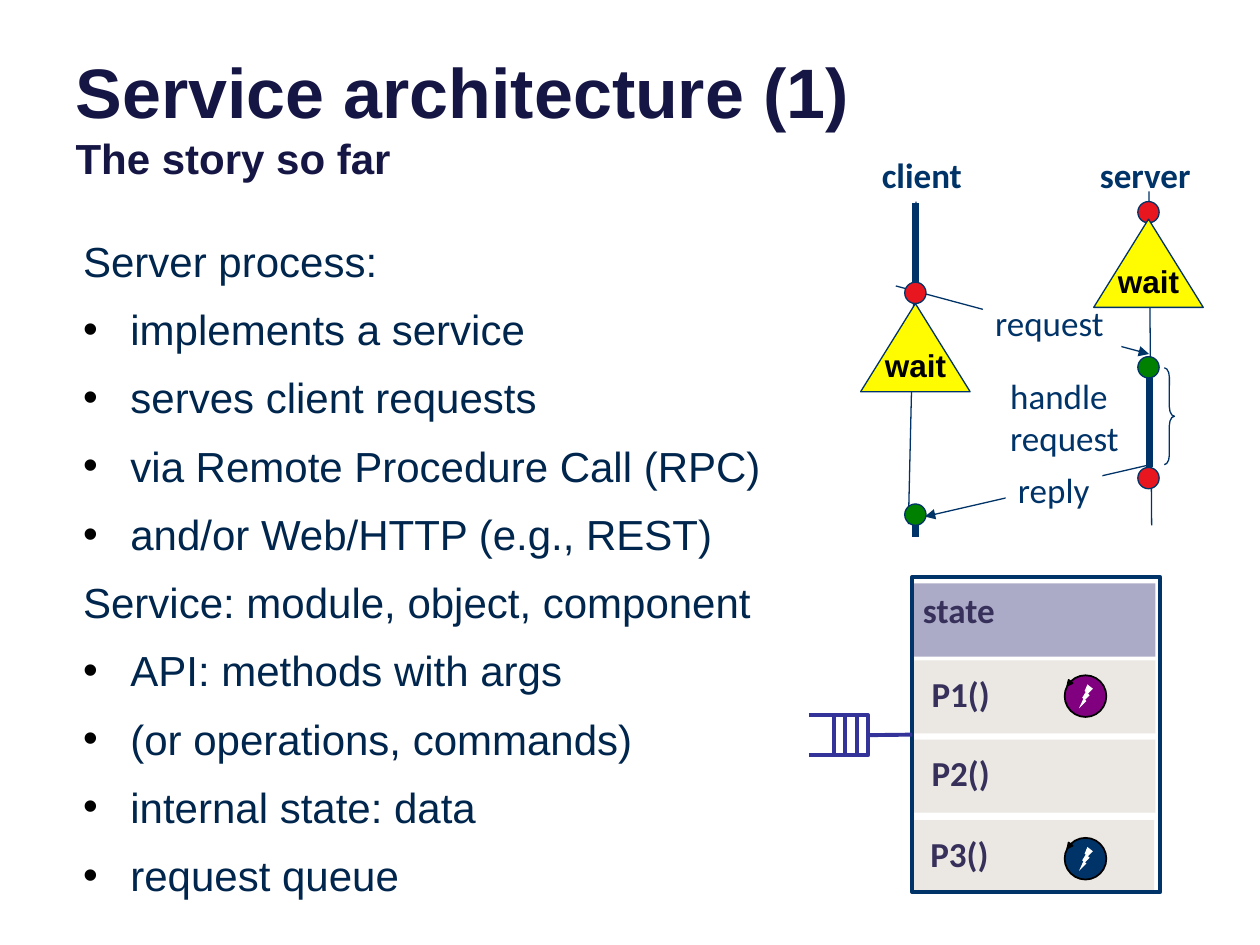
"""Build a slide on service architecture with an RPC timeline and a server diagram."""
from dataclasses import dataclass
from typing import Any, Optional

from lxml.etree import SubElement as Sub
from pptx import Presentation
from pptx.dml.color import RGBColor as Rgb
from pptx.enum.shapes import MSO_CONNECTOR as Link, MSO_SHAPE as Kind
from pptx.enum.text import MSO_ANCHOR as Anchor, MSO_AUTO_SIZE as Fit, PP_ALIGN as Align
from pptx.oxml.ns import qn
from pptx.util import Pt

NAVY = Rgb(0x00, 0x33, 0x67)
TITLE = Rgb(0x16, 0x16, 0x45)
BODY = Rgb(0x00, 0x26, 0x4D)
PLUM = Rgb(0x37, 0x30, 0x5A)
RED = Rgb(0xE8, 0x16, 0x1F)
GREEN = Rgb(0x00, 0x80, 0x00)
YELLOW = Rgb(0xFF, 0xFB, 0x01)
PURPLE = Rgb(0x80, 0x00, 0x80)
INDIGO = Rgb(0x33, 0x33, 0x99)
LILAC = Rgb(0x66, 0x66, 0x99)
SAND = Rgb(0xEB, 0xE7, 0xE3)
BLACK = Rgb(0, 0, 0)
WHITE = Rgb(0xFF, 0xFF, 0xFF)

HEAD = {"name": "Arial", "size": Pt(40), "bold": True}
SUBHEAD = {**HEAD, "size": Pt(24)}
LIST = {"name": "Arial", "size": Pt(24), "bold": False}
WAIT = {"name": "Arial", "size": Pt(18), "bold": True}
NOTE = {"name": "Calibri", "size": Pt(20), "bold": False}
NAME = {**NOTE, "bold": True}

FRAME = {"auto_size": Fit.NONE, "word_wrap": True, "margin_left": Pt(7.2),
         "margin_right": Pt(7.2), "margin_top": Pt(3.6), "margin_bottom": Pt(3.6)}


@dataclass
class Box:
    x: float
    y: float
    w: float
    h: float


@dataclass
class Wire:
    x1: float
    y1: float
    x2: float
    y2: float
    ink: Rgb = NAVY
    wt: float = 0.75
    arrow: bool = False


@dataclass
class Label:
    text: str
    box: Box
    form: dict
    ink: Rgb = NAVY
    fill: Optional[Rgb] = None
    mid: bool = False


@dataclass
class Dot:
    x: float
    y: float
    fill: Rgb


WIRES = [
    Wire(523.4, 115.2, 519.1, 299.5),
    Wire(656.6, 109.4, 658.1, 300.2),
    Wire(511.9, 163.4, 656.6, 202.3, arrow=True),
    Wire(656.6, 265.7, 528.5, 295.2, arrow=True),
    Wire(523, 115.9, 523, 163.4, wt=4),
    Wire(656.6, 216, 656.6, 267.1, wt=4),
    Wire(523, 300.2, 523, 306.7, wt=4),
]
LABELS = [
    Label("client", Box(496.8, 84.2, 122.4, 31.7), NAME),
    Label("server", Box(621.4, 84.2, 122.4, 31.7), NAME),
    Label("request", Box(561.6, 168.5, 79.2, 31.7), NOTE, fill=WHITE),
    Label("reply", Box(574.6, 264.2, 55.4, 31.7), NOTE, fill=WHITE),
    Label("handle request", Box(570.2, 210.2, 79.2, 55.4), NOTE),
]
DOTS = [Dot(517, 161.3, RED), Dot(517, 288, GREEN), Dot(650.2, 115.2, RED),
        Dot(650.2, 203.8, GREEN), Dot(650.2, 267.1, RED)]
WAITS = [(491.8, 173.5), (625, 125.3)]
PROCS = [("P1()", 521.3, 377.3), ("P2()", 521.3, 422.6), ("P3()", 520.6, 468.7)]
BADGES = [Dot(608.4, 385.9, PURPLE), Dot(608.4, 478.8, NAVY)]
ITEMS = [
    ("Server process:", False),
    ("implements a service", True),
    ("serves client requests", True),
    ("via Remote Procedure Call (RPC)", True),
    ("and/or Web/HTTP (e.g., REST)", True),
    ("Service: module, object, component", False),
    ("API: methods with args", True),
    ("(or operations, commands)", True),
    ("internal state: data", True),
    ("request queue", True),
]


def apply(obj: Any, vals: dict) -> None:
    for key, val in vals.items():
        setattr(obj, key, val)


def place(obj: Any, box: Box) -> None:
    apply(obj, {"left": Pt(box.x), "top": Pt(box.y), "width": Pt(box.w), "height": Pt(box.h)})


def write(par: Any, text: str, form: dict, ink: Rgb) -> None:
    run = par.add_run()
    run.text = text
    apply(run.font, form)
    run.font.color.rgb = ink


def shape(slide: Any, kind: Kind, box: Box, fill: Optional[Rgb] = None,
          ink: Optional[Rgb] = None, wt: float = 0.75) -> Any:
    item = slide.shapes.add_shape(kind, Pt(box.x), Pt(box.y), Pt(box.w), Pt(box.h))
    item.shadow.inherit = False
    if fill is None:
        item.fill.background()
    else:
        item.fill.solid()
        item.fill.fore_color.rgb = fill
    if ink is None:
        item.line.fill.background()
    else:
        item.line.color.rgb = ink
        item.line.width = Pt(wt)
    return item


def wire(slide: Any, spec: Wire) -> Any:
    item = slide.shapes.add_connector(
        Link.STRAIGHT, Pt(spec.x1), Pt(spec.y1), Pt(spec.x2), Pt(spec.y2))
    item.line.color.rgb = spec.ink
    item.line.width = Pt(spec.wt)
    props = item.element.spPr
    if spec.arrow:
        Sub(props.find(qn("a:ln")), qn("a:tailEnd"), type="triangle")
    Sub(props, qn("a:effectLst"))
    return item


def label(slide: Any, spec: Label) -> None:
    box = spec.box
    if spec.fill is None:
        item = slide.shapes.add_textbox(Pt(box.x), Pt(box.y), Pt(box.w), Pt(box.h))
    else:
        item = shape(slide, Kind.RECTANGLE, box, spec.fill)
    frame = item.text_frame
    apply(frame, {**FRAME, "word_wrap": not spec.mid,
                  "vertical_anchor": Anchor.MIDDLE if spec.mid else Anchor.TOP})
    par = frame.paragraphs[0]
    par.alignment = Align.CENTER if spec.mid else Align.LEFT
    write(par, spec.text, spec.form, spec.ink)


def texts(slide: Any) -> None:
    title, body = slide.placeholders
    place(title, Box(36, -14.4, 648, 122.4))
    apply(title.text_frame, {**FRAME, "vertical_anchor": Anchor.BOTTOM})
    par = title.text_frame.paragraphs[0]
    par.alignment = Align.LEFT
    write(par, "Service architecture (1)", HEAD, TITLE)
    par.add_line_break()
    write(par, "The story so far", SUBHEAD, TITLE)

    place(body, Box(40.3, 131, 409.7, 324))
    frame = body.text_frame
    apply(frame, {**FRAME, "vertical_anchor": Anchor.TOP})
    for num, (text, dot) in enumerate(ITEMS):
        par = frame.add_paragraph() if num else frame.paragraphs[0]
        props = par._p.get_or_add_pPr()
        props.set("marL", str(Pt(27 if dot else 0)))
        props.set("indent", str(Pt(-27 if dot else 0)))
        if dot:
            Sub(Sub(props, qn("a:buClr")), qn("a:srgbClr"), val=str(BLACK))
            Sub(props, qn("a:buFont"), typeface="Arial")
            Sub(props, qn("a:buChar"), char="•")
        else:
            Sub(props, qn("a:buNone"))
        par.space_before = Pt(10.2 if num else 0)
        write(par, text, LIST, BODY)


def timeline(slide: Any) -> None:
    for spec in WIRES:
        wire(slide, spec)
    for spec in LABELS:
        label(slide, spec)
    brace = shape(slide, Kind.RIGHT_BRACE, Box(665.3, 210.2, 5.8, 55.4), ink=NAVY)
    brace.adjustments[0] = 0.92
    for dot in DOTS:
        shape(slide, Kind.OVAL, Box(dot.x, dot.y, 12.2, 12.2), dot.fill, NAVY)
    for x, y in WAITS:
        cone = shape(slide, Kind.FLOWCHART_MERGE, Box(x, y, 62.6, 50.4), YELLOW, NAVY)
        cone.element.spPr.find(qn("a:xfrm")).set("flipV", "1")
        label(slide, Label("wait", Box(x + 6.5, y + 20.9, 49.7, 28.8), WAIT, BLACK, mid=True))


def badge(slide: Any, dot: Dot) -> None:
    x, y = dot.x, dot.y
    shape(slide, Kind.OVAL, Box(x, y, 23.8, 23.8), dot.fill, BLACK, 1)
    bolt = shape(slide, Kind.LIGHTNING_BOLT, Box(x + 8.2, y + 5.2, 7.9, 13.7), WHITE)
    bolt.element.spPr.find(qn("a:xfrm")).set("flipH", "1")
    tip = shape(slide, Kind.ISOSCELES_TRIANGLE, Box(x + 1, y + 3.2, 2.9, 2.9), BLACK, BLACK, 1)
    tip.rotation = 219


def server(slide: Any) -> None:
    band = shape(slide, Kind.RECTANGLE, Box(521.3, 333.4, 139, 41.8), LILAC)
    Sub(band.element.spPr.find(".//" + qn("a:srgbClr")), qn("a:alpha"), val="55000")
    label(slide, Label("state", Box(519.8, 332.6, 56.2, 31.7), NAME, PLUM, mid=True))
    for text, x, y in PROCS:
        shape(slide, Kind.RECTANGLE, Box(x, y, 139, 41.8), SAND)
        label(slide, Label(text, Box(x + 3.6, y + 2.9, 48.2, 31.7), NAME, PLUM, mid=True))
    hull = shape(slide, Kind.RECTANGLE, Box(521.3, 329.8, 141.8, 180), ink=NAVY, wt=2.25)
    for dot in BADGES:
        badge(slide, dot)
    cells = [shape(slide, Kind.RECTANGLE, Box(476.6 + 6.5 * num, 408.6, 6.5, 23),
                   WHITE, INDIGO, 2.25) for num in range(3)]
    for y in (408.6, 431.6):
        wire(slide, Wire(462.2, y, 476.6, y, INDIGO, 2.25))
    link = wire(slide, Wire(496.1, 420.1, 521.3, 420.1, INDIGO, 2.25))
    link.begin_connect(cells[-1], 3)
    link.end_connect(hull, 1)


def main() -> None:
    deck = Presentation()
    apply(deck, {"slide_width": Pt(720), "slide_height": Pt(540)})
    slide = deck.slides.add_slide(deck.slide_layouts[1])
    for draw in (texts, timeline, server):
        draw(slide)
    deck.save("out.pptx")


if __name__ == "__main__":
    main()
